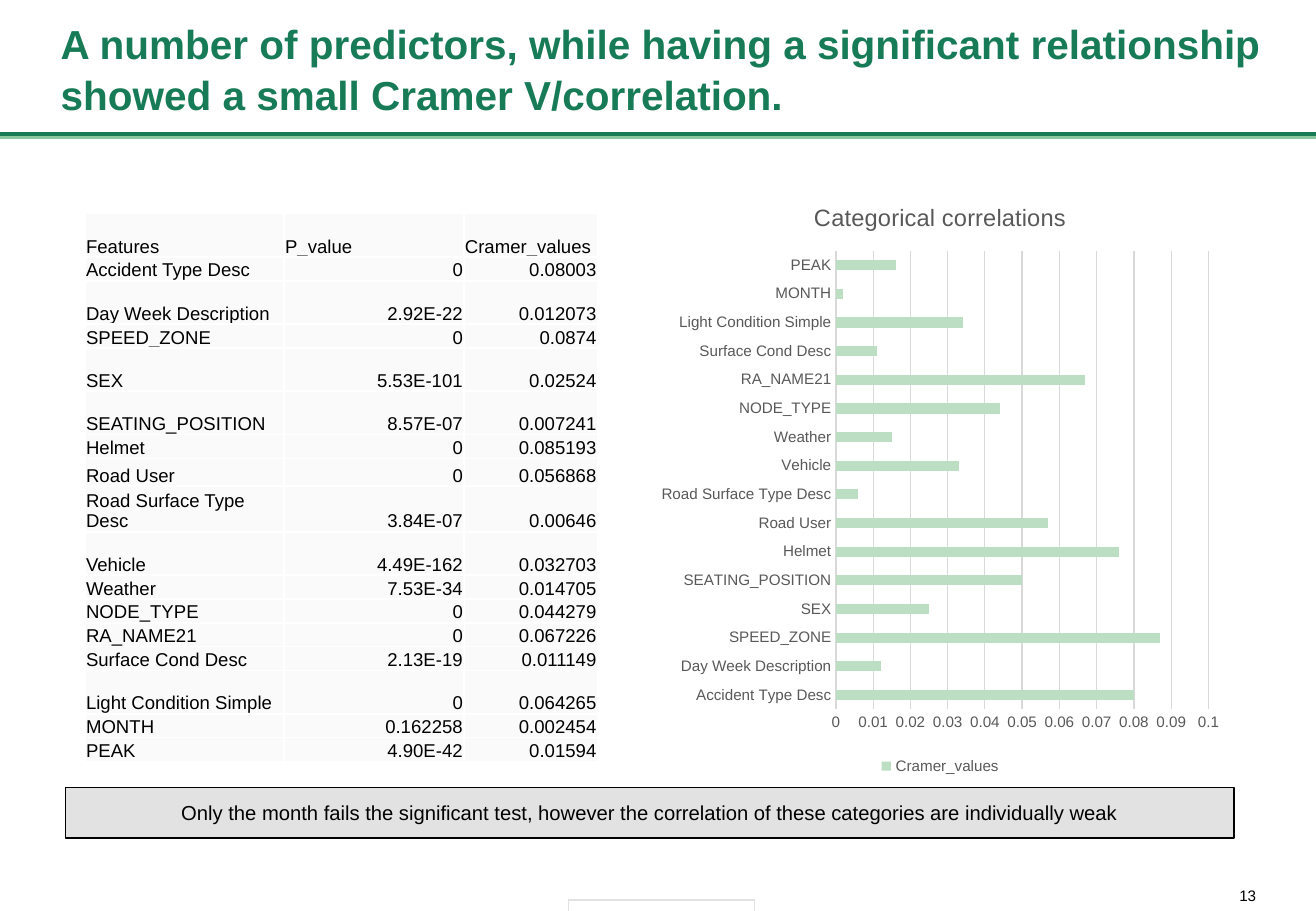
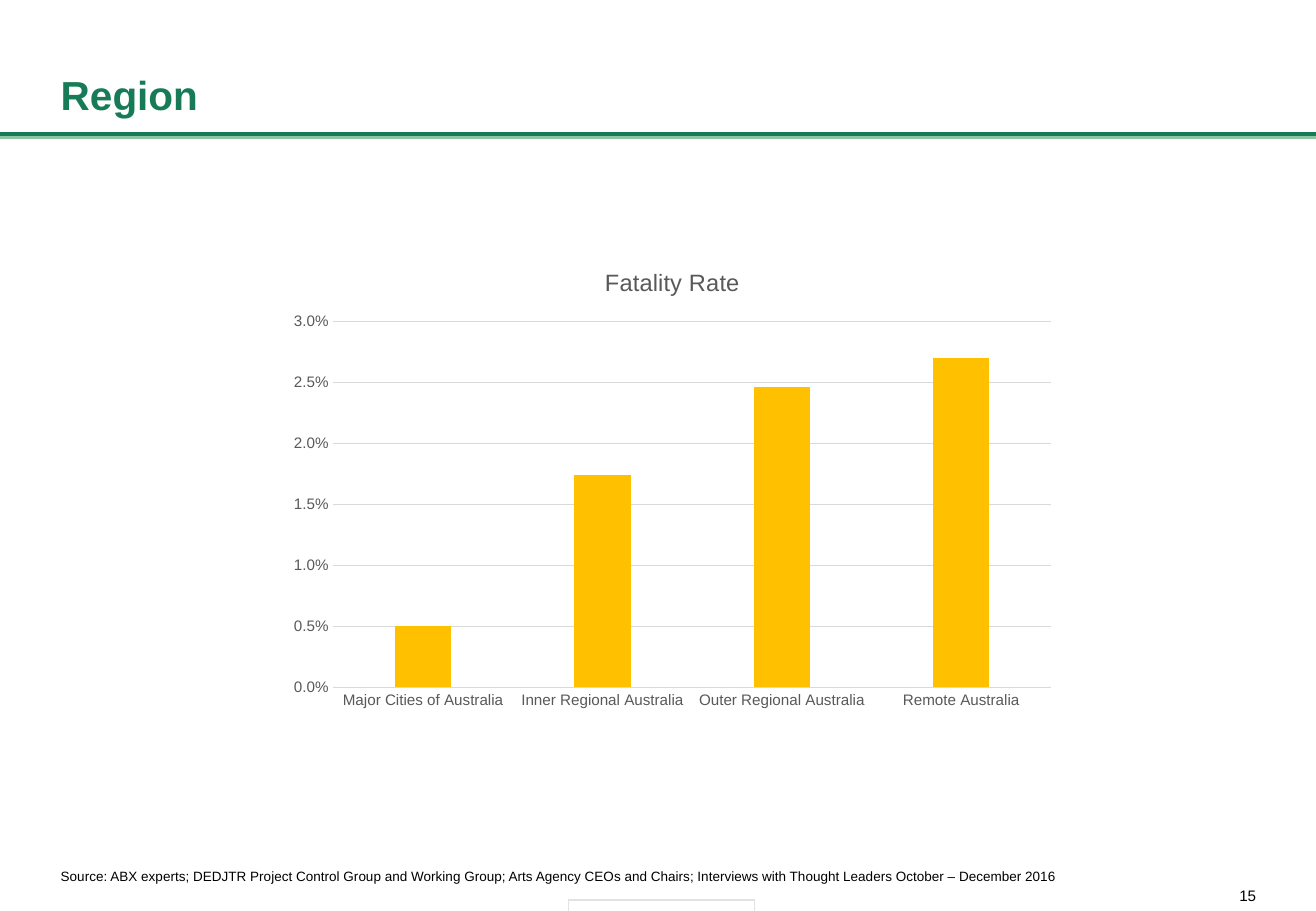
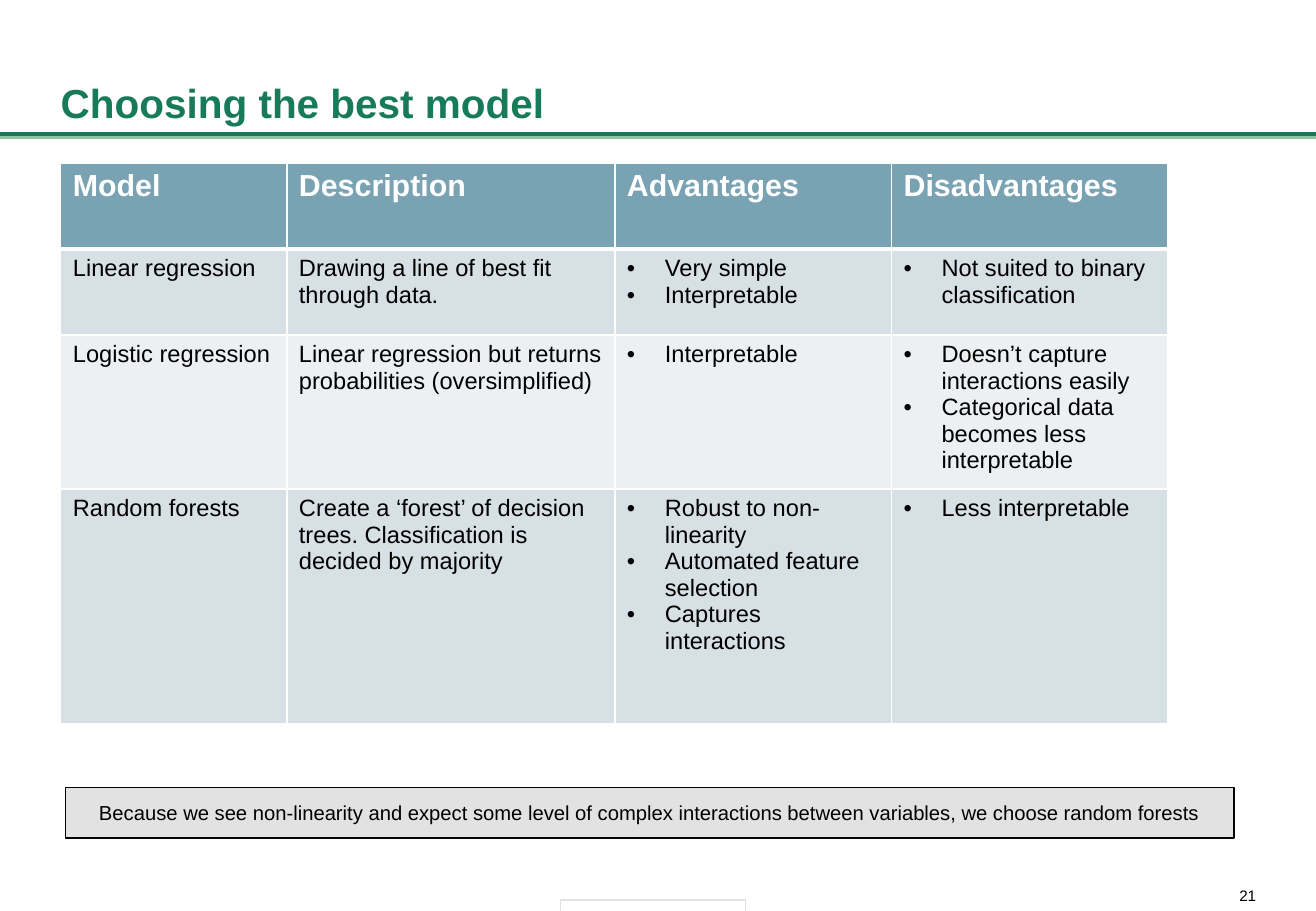
from lxml import etree
from pptx import Presentation
from pptx.chart.data import CategoryChartData
from pptx.dml.color import RGBColor
from pptx.enum.chart import XL_CHART_TYPE as ChartType, XL_LEGEND_POSITION as LegendPosition
from pptx.enum.chart import XL_TICK_MARK as TickMark
from pptx.enum.shapes import MSO_CONNECTOR as Connector, MSO_SHAPE as Shape
from pptx.enum.text import MSO_ANCHOR as Anchor, MSO_AUTO_SIZE as AutoSize, PP_ALIGN as Align
from pptx.oxml import parse_xml
from pptx.oxml.ns import qn
from pptx.util import Pt

FONT = "Arial"
SLIDE_WIDTH, SLIDE_HEIGHT = 780, 540
COLORS = {
    "title": "177B57", "rule_shadow": "8EC6A1", "text": "000000", "white": "FFFFFF",
    "panel": "E2E2E2", "feature_cell": "FAFAFA", "model_header": "79A2B3",
    "model_odd": "D7E0E5", "model_even": "ECF0F2", "chart_text": "595959",
    "grid": "D9D9D9", "green_bar": "BCDEC2", "amber_bar": "FFC000",
}
DRAWING_NS = "http://schemas.openxmlformats.org/drawingml/2006/main"

TALL, MIDDLE, LOW = 25.6, 16.6, 14.2
FEATURE_HEADER = ("Features", "P_value", "Cramer_values")
# feature, p value, Cramer value, plotted value, row height
FEATURES = [
    ("Accident Type Desc", "0", "0.08003", 0.08, LOW),
    ("Day Week Description", "2.92E-22", "0.012073", 0.012, TALL),
    ("SPEED_ZONE", "0", "0.0874", 0.087, LOW),
    ("SEX", "5.53E-101", "0.02524", 0.025, TALL),
    ("SEATING_POSITION", "8.57E-07", "0.007241", 0.05, TALL),
    ("Helmet", "0", "0.085193", 0.076, LOW),
    ("Road User", "0", "0.056868", 0.057, MIDDLE),
    ("Road Surface Type Desc", "3.84E-07", "0.00646", 0.006, TALL),
    ("Vehicle", "4.49E-162", "0.032703", 0.033, TALL),
    ("Weather", "7.53E-34", "0.014705", 0.015, LOW),
    ("NODE_TYPE", "0", "0.044279", 0.044, LOW),
    ("RA_NAME21", "0", "0.067226", 0.067, LOW),
    ("Surface Cond Desc", "2.13E-19", "0.011149", 0.011, LOW),
    ("Light Condition Simple", "0", "0.064265", 0.034, TALL),
    ("MONTH", "0.162258", "0.002454", 0.002, LOW),
    ("PEAK", "4.90E-42", "0.01594", 0.016, LOW),
]

FATALITY_RATES = {
    "Major Cities of Australia": 0.005,
    "Inner Regional Australia": 0.0174,
    "Outer Regional Australia": 0.0246,
    "Remote Australia": 0.027,
}
SOURCE = ("Source: ABX experts; DEDJTR Project Control Group and Working Group; Arts Agency CEOs "
          "and Chairs; Interviews with Thought Leaders October – December 2016")

MODEL_HEADER = ("Model", "Description", "Advantages", "Disadvantages")
# A list is a bulleted cell
MODELS = [
    ("Linear regression", "Drawing a line of best fit through data.",
     ["Very simple", "Interpretable"], ["Not suited to binary classification"]),
    ("Logistic regression", "Linear regression but returns probabilities (oversimplified)",
     ["Interpretable"],
     ["Doesn’t capture interactions easily", "Categorical data becomes less interpretable"]),
    ("Random forests",
     "Create a ‘forest’ of decision trees. Classification is decided by majority",
     ["Robust to non-linearity", "Automated feature selection", "Captures interactions"],
     ["Less interpretable"]),
]


def rgb(name):
    return RGBColor.from_string(COLORS[name])


def box(*lengths):
    return [Pt(length) for length in lengths]


def style_font(font, size, color="text", bold=False):
    font.name, font.size, font.bold = FONT, Pt(size), bold
    font.color.rgb = rgb(color)


def set_margins(target, left, top, right, bottom):
    target.margin_left, target.margin_top = Pt(left), Pt(top)
    target.margin_right, target.margin_bottom = Pt(right), Pt(bottom)


def write(frame, text, size, color="text", bold=False, align=Align.LEFT, spacing=None):
    frame.text = text
    for paragraph in frame.paragraphs:
        paragraph.alignment = align
        if spacing:
            paragraph.line_spacing = spacing
        for run in paragraph.runs:
            style_font(run.font, size, color, bold)


def add_label(slide, place, text, size, anchor, align, spacing=None):
    frame = slide.shapes.add_textbox(*box(*place)).text_frame
    frame.word_wrap, frame.vertical_anchor = True, anchor
    set_margins(frame, 0, 0, 0, 0)
    write(frame, text, size, align=align, spacing=spacing)


def add_panel(slide, place, fill, line):
    panel = slide.shapes.add_shape(Shape.RECTANGLE, *box(*place))
    panel.shadow.inherit = False
    panel.fill.solid()
    panel.fill.fore_color.rgb = rgb(fill)
    panel.line.color.rgb = rgb(line)
    panel.line.width = Pt(0.75)
    return panel


def add_callout(slide, text):
    frame = add_panel(slide, (38.9, 466.6, 692.6, 30.2), "panel", "text").text_frame
    frame.word_wrap, frame.vertical_anchor = True, Anchor.MIDDLE
    set_margins(frame, 7.2, 7.2, 7.2, 7.2)
    write(frame, text, 12, align=Align.CENTER)


def add_rule(slide):
    """Draw the title rule with its pale green shadow line."""
    y = 79.2
    rule = slide.shapes.add_connector(Connector.STRAIGHT, *box(SLIDE_WIDTH, y, 0, y))
    rule.line.color.rgb = rgb("title")
    rule.line.width = Pt(2.25)
    rule._element.spPr.append(parse_xml(
        f'<a:effectLst xmlns:a="{DRAWING_NS}">'
        f'<a:outerShdw dist="{Pt(2)}" dir="5400000" algn="ctr" rotWithShape="0">'
        f'<a:srgbClr val="{COLORS["rule_shadow"]}"/></a:outerShdw></a:effectLst>'))


def new_slide(deck, title, number, title_place=(36, 8.6, 723, 65.5), tab_left=337):
    slide = deck.slides.add_slide(deck.slide_layouts[5])
    add_rule(slide)
    add_label(slide, (729.4, 525.6, 15.1, 10.4), str(number), 9, Anchor.TOP, Align.RIGHT)
    heading = slide.shapes.title
    heading.left, heading.top, heading.width, heading.height = box(*title_place)
    frame = heading.text_frame
    frame.word_wrap, frame.auto_size = True, AutoSize.NONE
    frame.vertical_anchor = Anchor.BOTTOM
    set_margins(frame, 0, 3.6, 0, 3.6)
    write(frame, title, 24, "title", bold=True, spacing=1.05)
    add_panel(slide, (tab_left, 533.5, 110, 7.2), "white", "panel")
    return slide


def add_grid(slide, left, top, widths, heights):
    table = slide.shapes.add_table(
        len(heights), len(widths), *box(left, top, sum(widths), sum(heights))).table
    table.first_row = table.horz_banding = False
    for column, width in zip(table.columns, widths):
        column.width = Pt(width)
    for row, height in zip(table.rows, heights):
        row.height = Pt(height)
    return table


def paint_cell(cell, fill, bottom_border=1):
    """Give a cell white borders and a solid fill."""
    properties = cell._tc.get_or_add_tcPr()
    for side, width in (("L", 1), ("R", 1), ("T", 1), ("B", bottom_border)):
        border = etree.SubElement(properties, qn(f"a:ln{side}"), w=str(Pt(width)))
        solid = etree.SubElement(border, qn("a:solidFill"))
        etree.SubElement(solid, qn("a:srgbClr"), val=COLORS["white"])
    cell.fill.solid()
    cell.fill.fore_color.rgb = rgb(fill)


def add_bullets(frame):
    for paragraph in frame.paragraphs:
        properties = paragraph._p.get_or_add_pPr()
        properties.set("marL", str(Pt(22.5)))
        properties.set("indent", str(-Pt(22.5)))
        etree.SubElement(properties, qn("a:buFont"), typeface=FONT)
        etree.SubElement(properties, qn("a:buChar"), char="•")


def add_feature_table(slide):
    rows = [FEATURE_HEADER] + [feature[:3] for feature in FEATURES]
    heights = [TALL] + [feature[4] for feature in FEATURES]
    table = add_grid(slide, 50.4, 126.7, (118, 106.6, 79.2), heights)
    for r, row in enumerate(rows):
        for c, text in enumerate(row):
            cell = table.cell(r, c)
            paint_cell(cell, "feature_cell")
            cell.vertical_anchor = Anchor.BOTTOM
            set_margins(cell, 0.6, 0.6, 0.6, 0)
            write(cell.text_frame, text, 11, align=Align.RIGHT if r and c else Align.LEFT)


def add_model_table(slide):
    table = add_grid(slide, 36, 96.5, (134, 194.4, 164, 164), (51.1, 51.1, 51.1, 139))
    for c, text in enumerate(MODEL_HEADER):
        cell = table.cell(0, c)
        paint_cell(cell, "model_header", bottom_border=3)
        write(cell.text_frame, text, 18, "white", bold=True)
    for r, model in enumerate(MODELS, start=1):
        for c, content in enumerate(model):
            cell = table.cell(r, c)
            paint_cell(cell, "model_odd" if r % 2 else "model_even")
            bulleted = isinstance(content, list)
            write(cell.text_frame, "\n".join(content) if bulleted else content, 14)
            if bulleted:
                add_bullets(cell.text_frame)


def add_bar_chart(slide, kind, place, title, series_name, values, color, gap,
                  maximum, unit, number_format="General"):
    chart_data = CategoryChartData(number_format=number_format)
    chart_data.categories = list(values)
    chart_data.add_series(series_name, list(values.values()))
    chart = slide.shapes.add_chart(kind, *box(*place), chart_data).chart
    style_font(chart.font, 10)
    chart.has_title, chart.has_legend = True, False
    write(chart.chart_title.text_frame, title, 14, "chart_text", align=Align.CENTER)
    chart.chart_title.include_in_layout = False

    plot = chart.plots[0]
    plot.gap_width, plot.vary_by_categories = gap, False
    bars = plot.series[0].format.fill
    bars.solid()
    bars.fore_color.rgb = rgb(color)

    categories, scale = chart.category_axis, chart.value_axis
    for axis in (categories, scale):
        axis.major_tick_mark = axis.minor_tick_mark = TickMark.NONE
        style_font(axis.tick_labels.font, 9, "chart_text")
    scale.minimum_scale, scale.maximum_scale, scale.major_unit = 0, maximum, unit
    scale.tick_labels.number_format = number_format
    scale.tick_labels.number_format_is_linked = False
    scale.format.line.fill.background()
    for line in (categories.format.line, scale.major_gridlines.format.line):
        line.color.rgb = rgb("grid")
        line.width = Pt(0.75)
    return chart


def main():
    deck = Presentation()
    deck.slide_width, deck.slide_height = box(SLIDE_WIDTH, SLIDE_HEIGHT)

    predictors = new_slide(deck, "A number of predictors, while having a significant relationship "
                                 "showed a small Cramer V/correlation.", 13)
    add_feature_table(predictors)
    add_callout(predictors, "Only the month fails the significant test, however the correlation "
                            "of these categories are individually weak")
    correlations = add_bar_chart(
        predictors, ChartType.BAR_CLUSTERED, (385.2, 106.6, 344.2, 355.7),
        "Categorical correlations", FEATURE_HEADER[2],
        {feature[0]: feature[3] for feature in FEATURES}, "green_bar", 182, 0.1, 0.01)
    correlations.has_legend = True
    correlations.legend.position = LegendPosition.BOTTOM
    correlations.legend.include_in_layout = False
    style_font(correlations.legend.font, 9, "chart_text")

    region = new_slide(deck, "Region", 15)
    add_label(region, (36, 498.2, 708.5, 25.9), SOURCE, 8, Anchor.BOTTOM, Align.LEFT, 0.9)
    fatality = add_bar_chart(
        region, ChartType.COLUMN_CLUSTERED, (164.9, 146.2, 467.3, 280.1),
        "Fatality Rate", "Fatality Rate", FATALITY_RATES, "amber_bar", 219, 0.03, 0.005, "0.0%")
    fatality.plots[0].overlap = -27

    models = new_slide(deck, "Choosing the best model", 21, (36, 13, 707.8, 65.5), 332)
    add_model_table(models)
    add_callout(models, "Because we see non-linearity and expect some level of complex "
                        "interactions between variables, we choose random forests")

    deck.save("out.pptx")


if __name__ == "__main__":
    main()
